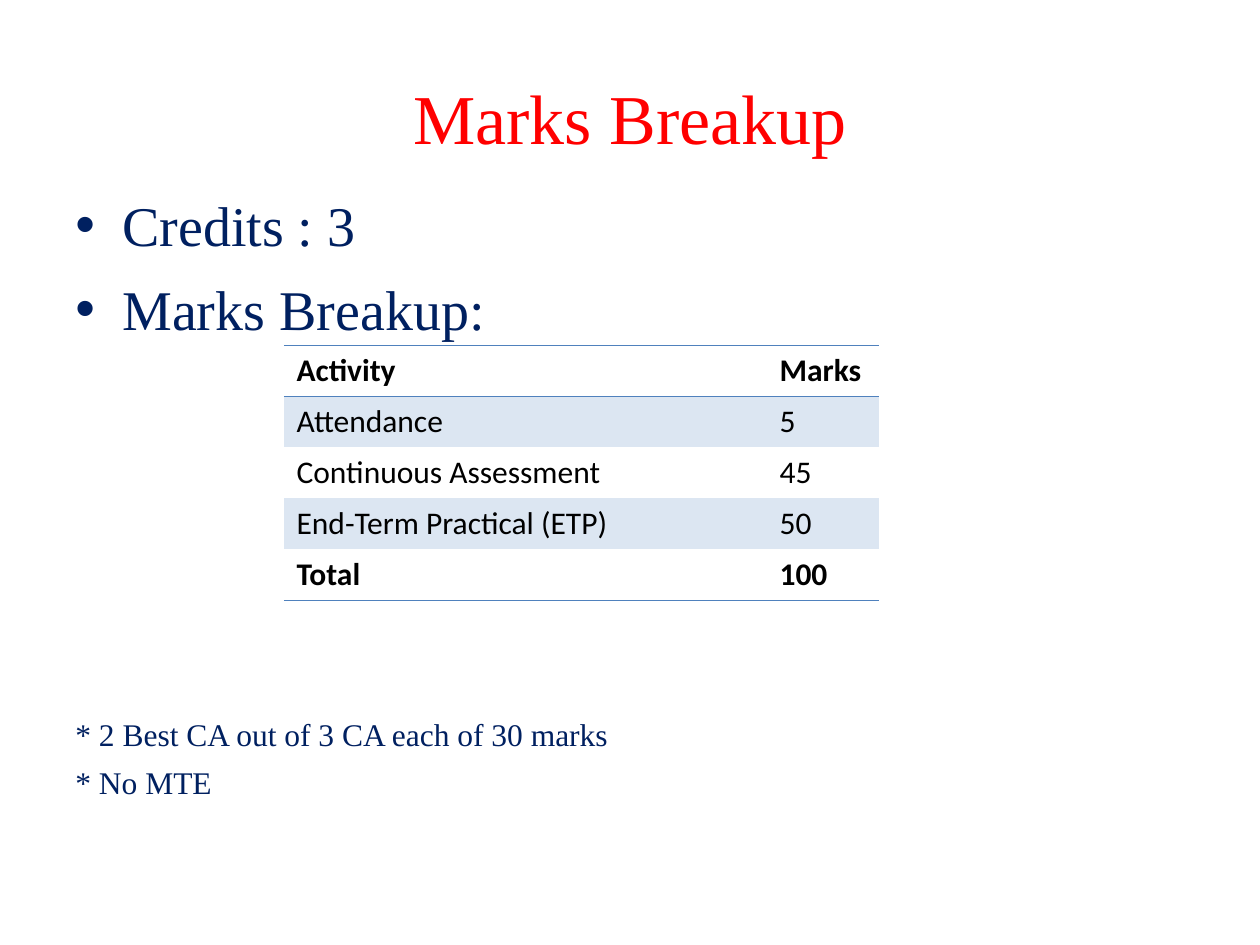
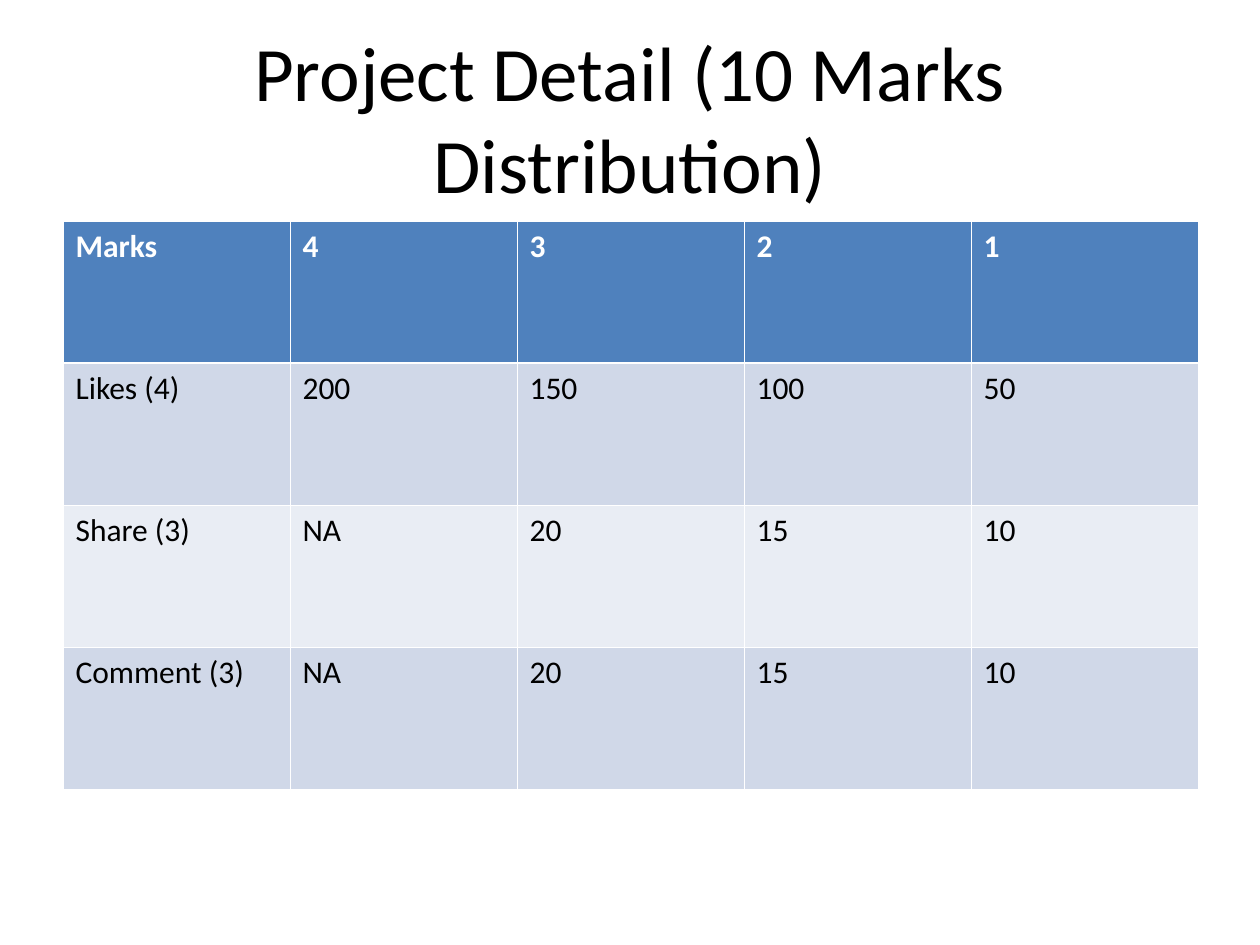
from lxml import etree
from pptx import Presentation
from pptx import util as u
from pptx.dml.color import RGBColor
from pptx.enum import text
from pptx.oxml import ns

PX = 914400 / 126  # EMU in one px
SERIF, SANS = "Times New Roman", "Calibri"
RED = RGBColor(0xFF, 0x00, 0x00)
NAVY = RGBColor(0x00, 0x20, 0x60)
BLACK = RGBColor(0x00, 0x00, 0x00)
WHITE = RGBColor(0xFF, 0xFF, 0xFF)
BLUE = RGBColor(0x4F, 0x81, 0xBD)
PALE_BLUE = RGBColor(0xDC, 0xE6, 0xF2)
BAND_DARK = RGBColor(0xD0, 0xD8, 0xE8)
BAND_LIGHT = RGBColor(0xE9, 0xED, 0xF4)
THIN, THICK = 0.45, 1.47


def emu(length):
    return u.Emu(round(length * PX))


def add_child(parent, tag, **attributes):
    return etree.SubElement(parent, ns.qn(tag), **attributes)


class SlideBuilder:
    """Holds the shared style and the slide being built."""

    def __init__(self, deck):
        self.deck = deck
        self.slide = None

    def format_paragraph(self, para, font, size, color, bold=False):
        for span in para.runs:
            span.font.name = font
            span.font.size = u.Pt(size)
            span.font.color.rgb = color
            span.font.bold = bold

    def place(self, shape, left, top, width, height):
        shape.left, shape.top = emu(left), emu(top)
        shape.width, shape.height = emu(width), emu(height)

    def new_slide(self, title, font, size, color):
        self.slide = self.deck.slides.add_slide(self.deck.slide_layouts[5])
        box = self.slide.shapes.title
        self.place(box, 63, 38, 1134, 158)
        frame = box.text_frame
        frame.text = title
        frame.auto_size = text.MSO_AUTO_SIZE.NONE
        frame.vertical_anchor = text.MSO_ANCHOR.MIDDLE
        frame.paragraphs[0].alignment = text.PP_ALIGN.CENTER
        self.format_paragraph(frame.paragraphs[0], font, size, color)

    def text_list(self, lines, top, height, size, gap, bullet=None):
        box = self.slide.shapes.add_textbox(emu(63), emu(top), emu(1134), emu(height))
        frame = box.text_frame
        frame.word_wrap = True
        frame.text = "\n".join(lines)
        for index, para in enumerate(frame.paragraphs):
            if index:
                para.space_before = u.Pt(gap)
            if bullet:
                properties = para._p.get_or_add_pPr()
                properties.set("marL", str(emu(47)))
                properties.set("indent", str(-emu(47)))
                add_child(properties, "a:buFont", typeface="Arial")
                add_child(properties, "a:buChar", char=bullet)
            self.format_paragraph(para, SERIF, size, NAVY)

    def cell_borders(self, cell, borders):
        """Draw the given sides as (color, points) and hide the others."""
        properties = cell._tc.get_or_add_tcPr()
        for side in "LRTB":
            color, points = borders.get(side, (None, 0))
            line = add_child(properties, f"a:ln{side}", w=str(u.Pt(points)))
            if color is None:
                add_child(line, "a:noFill")
            else:
                add_child(add_child(line, "a:solidFill"), "a:srgbClr", val=str(color))

    def table(self, rows, left, top, columns, row_height, style):
        """style(row) gives the fill, font colour, bold and borders of a row."""
        grid = self.slide.shapes.add_table(
            len(rows), len(columns), emu(left), emu(top),
            emu(sum(columns)), emu(row_height * len(rows))).table
        for column, width in zip(grid.columns, columns):
            column.width = emu(width)
        for r, values in enumerate(rows):
            grid.rows[r].height = emu(row_height)
            fill, color, bold, borders = style(r)
            for c, value in enumerate(values):
                cell = grid.cell(r, c)
                cell.text = value
                self.format_paragraph(cell.text_frame.paragraphs[0], SANS, 18, color, bold)
                self.cell_borders(cell, borders)
                if fill is None:
                    cell.fill.background()
                else:
                    cell.fill.solid()
                    cell.fill.fore_color.rgb = fill


def marks_style(row):
    rule = (BLUE, THIN)
    borders = {0: {"T": rule, "B": rule}, 1: {"T": rule}, 4: {"B": rule}}
    return PALE_BLUE if row % 2 else None, BLACK, row in (0, 4), borders.get(row, {})


def project_style(row):
    borders = dict.fromkeys("LRTB", (WHITE, THIN))
    if row < 2:
        borders["T" if row else "B"] = (WHITE, THICK)
    if row == 0:
        return BLUE, WHITE, True, borders
    return BAND_DARK if row % 2 else BAND_LIGHT, BLACK, False, borders


def main():
    deck = Presentation()
    deck.slide_width, deck.slide_height = emu(1260), emu(945)
    builder = SlideBuilder(deck)

    # Marks breakup
    builder.new_slide("Marks Breakup", SERIF, 40, RED)
    builder.text_list(["Credits : 3", "Marks Breakup:"], 184, 160, 32, 9.5, "•")
    builder.table(
        [("Activity", "Marks"), ("Attendance", "5"), ("Continuous Assessment", "45"),
         ("End-Term Practical (ETP)", "50"), ("Total", "100")],
        284, 345, [483, 112], 51, marks_style)
    builder.text_list(["* 2 Best CA out of 3 CA each of 30 marks", "* No MTE"],
                      709, 100, 18, 5.5)

    # Project detail
    builder.new_slide("Project Detail (10 Marks Distribution)", SANS, 44, BLACK)
    builder.table(
        [("Marks", "4", "3", "2", "1"), ("Likes (4)", "200", "150", "100", "50"),
         ("Share (3)", "NA", "20", "15", "10"), ("Comment (3)", "NA", "20", "15", "10")],
        63, 221, [227] * 5, 142, project_style)

    deck.save("out.pptx")


if __name__ == "__main__":
    main()
